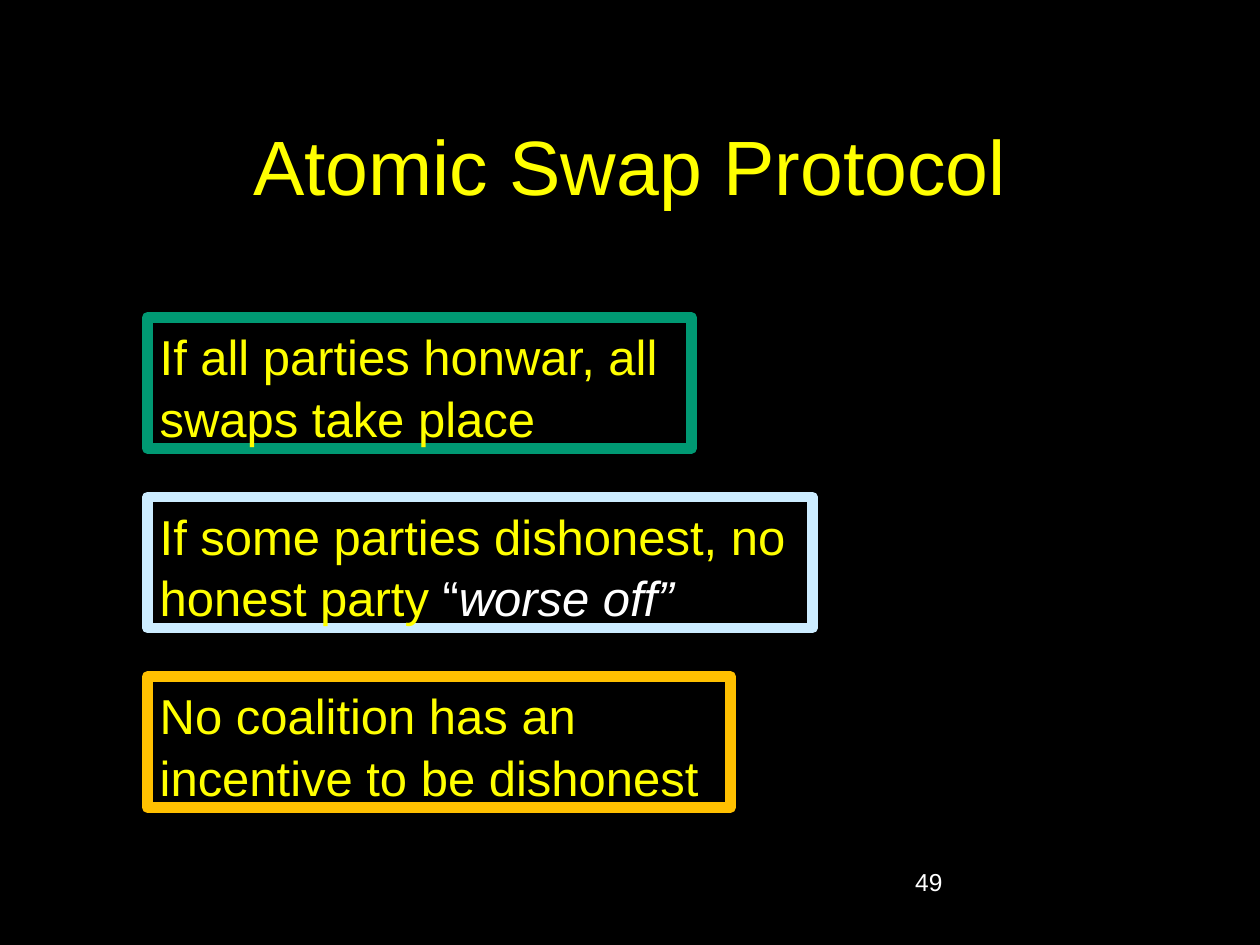
from pptx import Presentation
from pptx.dml.color import RGBColor as RGB
from pptx.enum.shapes import MSO_SHAPE as SHAPE
from pptx.enum.text import MSO_ANCHOR as ANCHOR, PP_ALIGN as ALIGN
from pptx.util import Cm, Pt

BLACK = RGB(0x00, 0x00, 0x00)
WHITE = RGB(0xFF, 0xFF, 0xFF)
YELLOW = RGB(0xFF, 0xFF, 0x00)
GREEN = RGB(0x00, 0x99, 0x73)
BLUE = RGB(0xCC, 0xEC, 0xFF)
AMBER = RGB(0xFF, 0xC0, 0x00)

LEFT, TOP, HIGH, STEP = 2.97, 6.4, 2.64, 3.62


def add_text(para, text, size=28, color=YELLOW, italic=None):
    run = para.add_run()
    run.text = text
    font = run.font
    font.name = "Arial"
    font.size = Pt(size)
    font.color.rgb = color
    font.italic = italic


def add_title(slide, text):
    title = slide.shapes.title
    title.left, title.top = Cm(1.9), Cm(1.73)
    title.width, title.height = Cm(21.6), Cm(3.18)
    frame = title.text_frame
    frame.vertical_anchor = ANCHOR.MIDDLE
    para = frame.paragraphs[0]
    para.alignment = ALIGN.CENTER
    add_text(para, text, size=44)


def add_claim(slide, row, width, color, parts):
    box = slide.shapes.add_shape(
        SHAPE.RECTANGLE, Cm(LEFT), Cm(TOP + row * STEP), Cm(width), Cm(HIGH))
    box.shadow.inherit = False
    box.fill.solid()
    box.fill.fore_color.rgb = BLACK
    box.line.color.rgb = color
    box.line.width = Pt(6)
    frame = box.text_frame
    frame.word_wrap = True
    frame.vertical_anchor = ANCHOR.TOP
    para = frame.paragraphs[0]
    para.alignment = ALIGN.LEFT
    para.line_spacing = 1.05
    for text, form in parts:
        add_text(para, text, **form)


def add_number(slide, text):
    box = slide.shapes.add_textbox(Cm(18.2), Cm(17.35), Cm(5.28), Cm(1.27))
    box.text_frame.word_wrap = True
    add_text(box.text_frame.paragraphs[0], text, size=14, color=WHITE)


def main():
    deck = Presentation()
    deck.slide_width, deck.slide_height = Cm(25.4), Cm(19.05)
    slide = deck.slides.add_slide(deck.slide_layouts[5])
    back = slide.background.fill
    back.solid()
    back.fore_color.rgb = BLACK

    add_title(slide, "Atomic Swap Protocol")

    # Framed claims, top to bottom: width, frame colour, text parts
    claims = [
        (10.97, GREEN, [("If all parties honwar, all swaps take place", {})]),
        (13.41, BLUE, [
            ("If some parties dishonest, no honest party ", {}),
            ("“", {"color": WHITE}),
            ("worse off”", {"color": WHITE, "italic": True})]),
        (11.76, AMBER, [("No coalition has an incentive to be dishonest", {})]),
    ]
    for row, claim in enumerate(claims):
        add_claim(slide, row, *claim)

    # Slide number
    add_number(slide, "49")

    deck.save("out.pptx")


if __name__ == "__main__":
    main()
